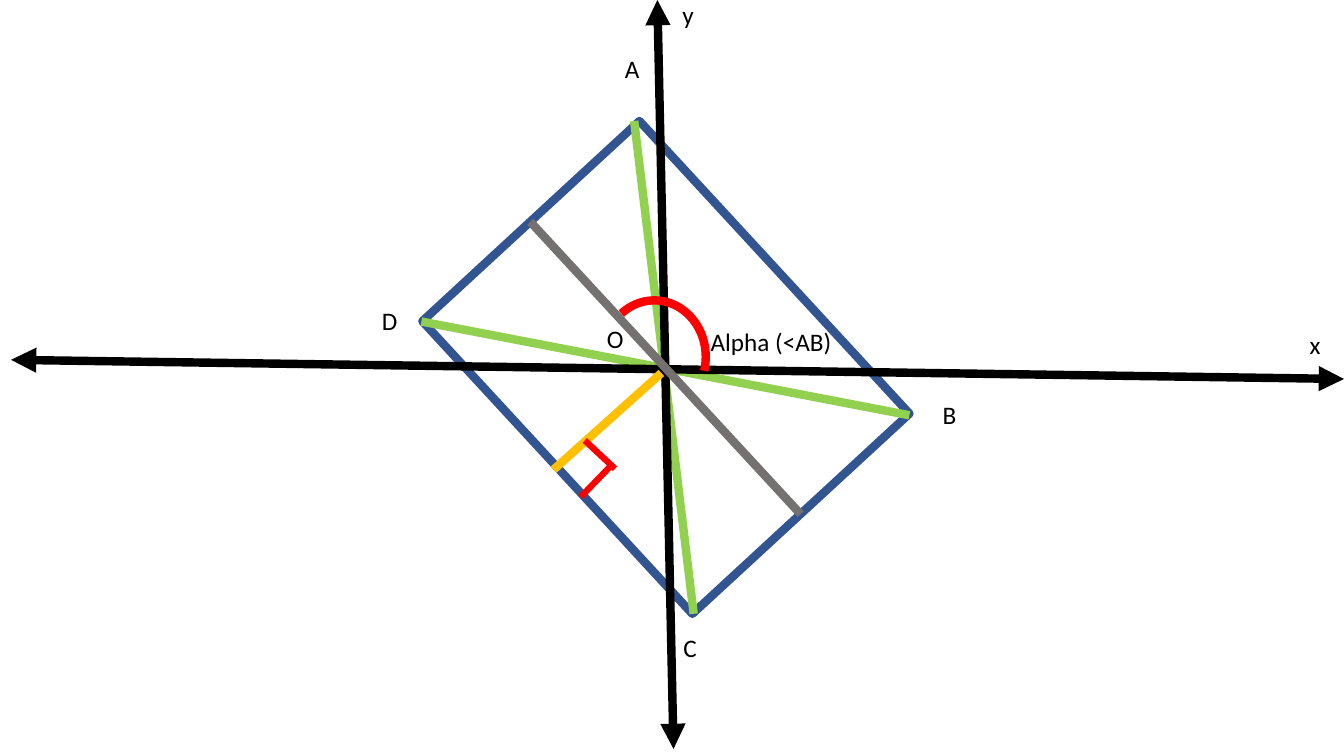
from pptx import Presentation
from pptx.dml.color import RGBColor
from pptx.enum.shapes import MSO_CONNECTOR, MSO_SHAPE
from pptx.enum.text import MSO_AUTO_SIZE
from pptx.oxml.ns import qn
from pptx.util import Inches, Pt
from lxml.etree import SubElement

COLORS = {
    "side": "325491",
    "diagonal": "92D050",
    "axis": "000000",
    "angle": "FF0000",
    "distance": "FFC000",
    "midline": "767171",
    "text": "000000",
}


def add_line(shapes, start, end, color, width=6, arrows=False):
    line = shapes.add_connector(MSO_CONNECTOR.STRAIGHT, *map(Inches, start + end))
    line.line.color.rgb = RGBColor.from_string(COLORS[color])
    line.line.width = Pt(width)
    properties = line._element.spPr
    if arrows:
        outline = properties.find(qn("a:ln"))
        for tag in ("a:headEnd", "a:tailEnd"):
            SubElement(outline, qn(tag), type="triangle")
    SubElement(properties, qn("a:effectLst"))


def add_label(shapes, text, left, top, width=0.4):
    box = shapes.add_textbox(*map(Inches, (left, top, width, 0.4)))
    frame = box.text_frame
    frame.word_wrap = True
    frame.auto_size = MSO_AUTO_SIZE.SHAPE_TO_FIT_TEXT
    span = frame.paragraphs[0].add_run()
    span.text = text
    span.font.name = "Calibri"
    span.font.size = Pt(18)
    span.font.color.rgb = RGBColor.from_string(COLORS["text"])


deck = Presentation()
deck.slide_width = Inches(13.33)
deck.slide_height = Inches(7.5)
page = deck.slides.add_slide(deck.slide_layouts[6])

figure = page.shapes.add_group_shape().shapes
rectangle = figure.add_shape(
    MSO_SHAPE.RECTANGLE, Inches(4.63), Inches(2.18), Inches(3.95), Inches(2.93)
)
rectangle.rotation = 227.3
rectangle.shadow.inherit = False
rectangle.fill.background()
rectangle.line.color.rgb = RGBColor.from_string(COLORS["side"])
rectangle.line.width = Pt(6)

for corner, left, top in (
    ("A", 6.1, 0.48),
    ("B", 9.25, 3.91),
    ("C", 6.68, 6.22),
    ("D", 3.69, 2.98),
):
    add_label(figure, corner, left, top)
add_line(figure, (6.29, 1.2), (6.88, 6.09), "diagonal")
add_line(figure, (4.18, 3.19), (9.02, 4.12), "diagonal")
add_label(figure, "O", 5.92, 3.16, 0.32)

axes = page.shapes.add_group_shape().shapes
add_line(axes, (0.11, 3.57), (13.33, 3.76), "axis", arrows=True)
add_line(axes, (6.68, 7.43), (6.52, 0), "axis", arrows=True)
add_label(axes, "y", 6.67, -0.06, 0.39)
add_label(axes, "x", 12.89, 3.22, 0.39)

alpha = page.shapes.add_shape(
    MSO_SHAPE.ARC, Inches(5.98), Inches(2.98), Inches(1.02), Inches(1.12)
)
alpha.adjustments[0] = 139.63
alpha.adjustments[1] = 9.43
alpha.shadow.inherit = False
alpha.fill.background()
alpha.line.color.rgb = RGBColor.from_string(COLORS["angle"])
alpha.line.width = Pt(6)
add_label(page.shapes, "Alpha (<AB)", 6.95, 3.19, 1.57)

add_line(page.shapes, (6.56, 3.7), (5.49, 4.66), "distance")
add_line(page.shapes, (5.8, 4.37), (6.1, 4.65), "angle", 4.5)
add_line(page.shapes, (5.76, 4.93), (6.06, 4.62), "angle", 4.5)
add_line(page.shapes, (5.26, 2.2), (7.94, 5.1), "midline")

deck.save("out.pptx")
